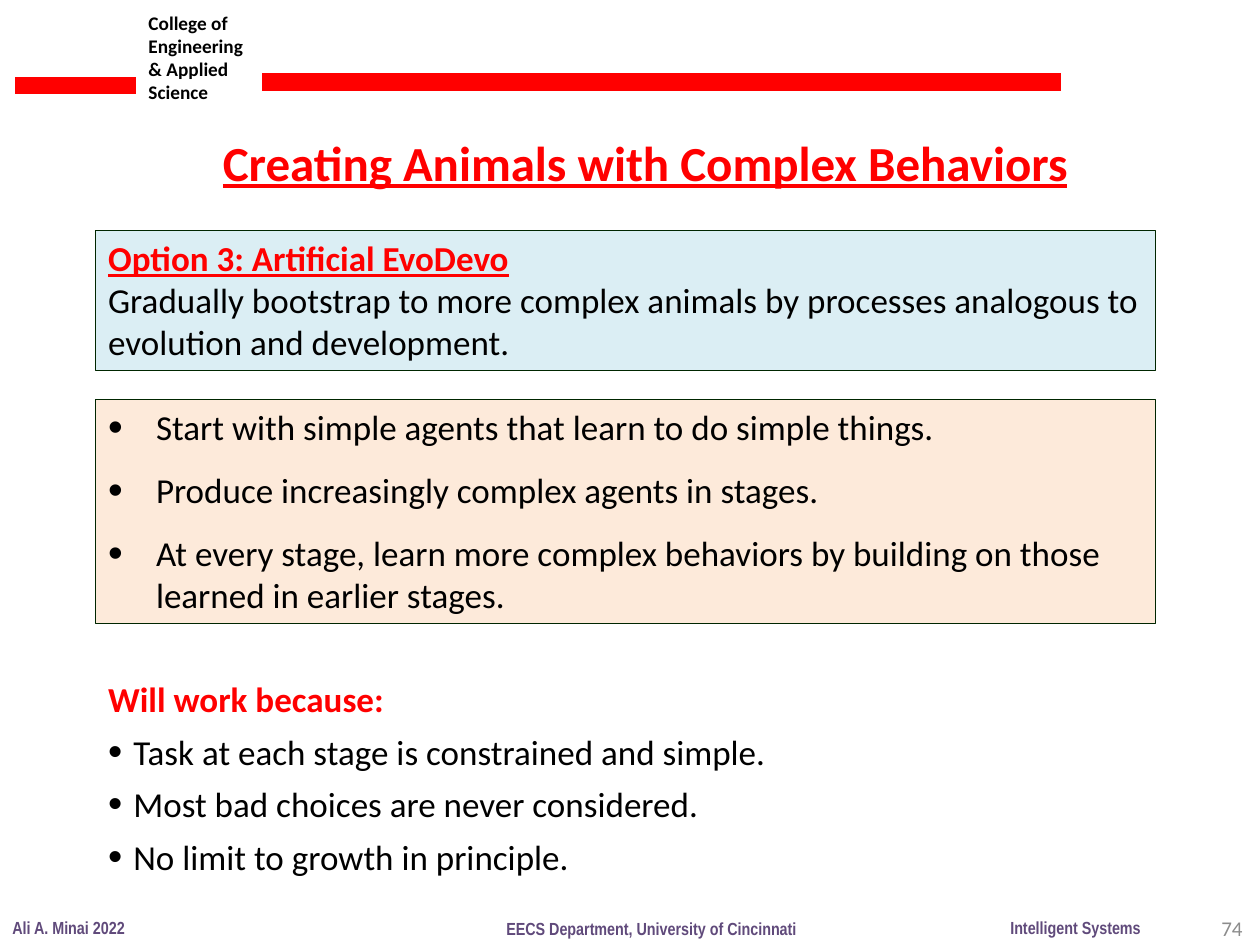
from dataclasses import dataclass

from lxml.etree import SubElement
from pptx import Presentation
from pptx.dml.color import RGBColor
from pptx.enum.shapes import MSO_CONNECTOR, MSO_SHAPE
from pptx.enum.text import MSO_ANCHOR, PP_ALIGN
from pptx.oxml.ns import qn
from pptx.util import Inches, Pt


@dataclass(frozen=True)
class Theme:
    red: str = "FF0000"
    black: str = "000000"
    purple: str = "604A7B"
    gray: str = "8C8C8C"
    outline: str = "002600"
    blue_panel: str = "DBEEF4"
    peach_panel: str = "FDEADA"
    body_font: str = "Calibri"
    footer_font: str = "Arial Narrow"
    title_size: int = 28
    body_size: int = 20
    number_size: int = 12
    college_size: int = 11
    footer_size: int = 10


@dataclass(frozen=True)
class Bullet:
    indent: float
    space_before: int
    percent: int


class LectureSlide:
    def __init__(self, presentation, theme):
        self.theme = theme
        self.slide = presentation.slides.add_slide(presentation.slide_layouts[6])

    def rule(self, start, end, y):
        bar = self.slide.shapes.add_connector(
            MSO_CONNECTOR.STRAIGHT, Inches(start), Inches(y), Inches(end), Inches(y))
        bar.line.color.rgb = RGBColor.from_string(self.theme.red)
        bar.line.width = Pt(10)
        SubElement(bar._element.spPr, qn("a:effectLst"))

    def text(self, left, top, width, height, wrap=False, anchor=MSO_ANCHOR.TOP):
        box = self.slide.shapes.add_textbox(
            Inches(left), Inches(top), Inches(width), Inches(height))
        box.text_frame.word_wrap = wrap
        box.text_frame.vertical_anchor = anchor
        return box.text_frame

    def panel(self, top, height, fill):
        box = self.slide.shapes.add_shape(
            MSO_SHAPE.RECTANGLE, Inches(0.76), Inches(top), Inches(8.41), Inches(height))
        box.shadow.inherit = False
        box.fill.solid()
        box.fill.fore_color.rgb = RGBColor.from_string(fill)
        box.line.color.rgb = RGBColor.from_string(self.theme.outline)
        box.line.width = Pt(0.75)
        box.text_frame.word_wrap = True
        box.text_frame.vertical_anchor = MSO_ANCHOR.TOP
        return box.text_frame

    def paragraph(self, frame, wording, size, color, font=None, bold=False,
                  underline=False, align=PP_ALIGN.LEFT, bullet=None):
        """Fill the frame's empty first paragraph, or add one after its text."""
        is_first = not frame.text
        paragraph = frame.paragraphs[0] if is_first else frame.add_paragraph()
        paragraph.text = wording
        paragraph.alignment = align
        if bullet:
            if not is_first:
                paragraph.space_before = Pt(bullet.space_before)
            properties = paragraph._p.get_or_add_pPr()
            properties.set("marL", str(Inches(bullet.indent)))
            properties.set("indent", str(-Inches(bullet.indent)))
            SubElement(properties, qn("a:buSzPct"), val=str(bullet.percent * 1000))
            SubElement(properties, qn("a:buFont"), typeface="Arial")
            SubElement(properties, qn("a:buChar"), char="•")
        for run in paragraph.runs:
            run.font.name = font or self.theme.body_font
            run.font.size = Pt(size)
            run.font.bold = bold
            run.font.underline = underline
            run.font.color.rgb = RGBColor.from_string(color)

    def footer(self, left, top, width, wording):
        self.paragraph(self.text(left, top, width, 0.27), wording,
                       self.theme.footer_size, self.theme.purple,
                       font=self.theme.footer_font, bold=True)


def main():
    presentation = Presentation()
    presentation.slide_width = Inches(10)
    presentation.slide_height = Inches(7.5)
    theme = Theme()
    page = LectureSlide(presentation, theme)

    college = page.text(1.08, 0.04, 1.09, 0.84, wrap=True)
    for wording in ("College of Engineering & Applied", "Science"):
        page.paragraph(college, wording, theme.college_size, theme.black, bold=True)
    page.rule(0.12, 1.08, 0.68)
    page.rule(2.08, 8.42, 0.65)

    number = page.text(7.63, 7.17, 2.33, 0.4, wrap=True, anchor=MSO_ANCHOR.MIDDLE)
    page.paragraph(number, "74", theme.number_size, theme.gray, align=PP_ALIGN.RIGHT)
    page.footer(0, 7.23, 1.1, "Ali A. Minai 2022")
    page.footer(7.92, 7.23, 1.24, "Intelligent Systems")
    page.footer(3.92, 7.24, 2.52, "EECS Department, University of Cincinnati")

    option = page.panel(1.83, 1.11, theme.blue_panel)
    page.paragraph(option, "Option 3: Artificial EvoDevo", theme.body_size, theme.red,
                   bold=True, underline=True)
    page.paragraph(option, "Gradually bootstrap to more complex animals by processes "
                   "analogous to evolution and development.",
                   theme.body_size, theme.black)

    reasons = page.text(0.76, 5.33, 5.58, 1.7)
    page.paragraph(reasons, "Will work because:", theme.body_size, theme.red, bold=True)
    for reason in ("Task at each stage is constrained and simple.",
                   "Most bad choices are never considered.",
                   "No limit to growth in principle."):
        page.paragraph(reasons, reason, theme.body_size, theme.black,
                       bullet=Bullet(0.2, 6, 116))

    title = page.text(1.67, 1, 6.99, 0.57)
    page.paragraph(title, "Creating Animals with Complex Behaviors", theme.title_size,
                   theme.red, bold=True, underline=True)

    steps = page.panel(3.17, 1.78, theme.peach_panel)
    for step in ("Start with simple agents that learn to do simple things.",
                 "Produce increasingly complex agents in stages.",
                 "At every stage, learn more complex behaviors by building on those "
                 "learned in earlier stages."):
        page.paragraph(steps, step, theme.body_size, theme.black,
                       bullet=Bullet(0.38, 12, 120))

    presentation.save("out.pptx")


if __name__ == "__main__":
    main()
